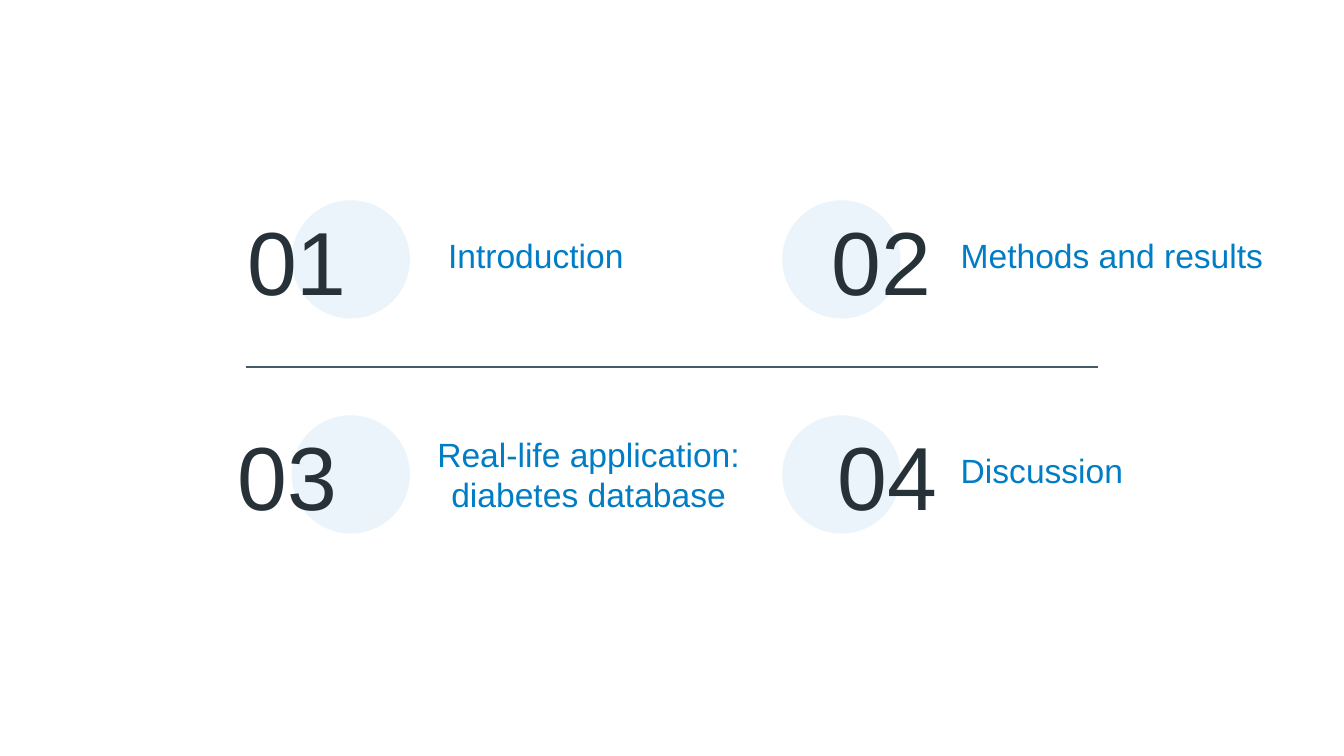
from dataclasses import dataclass

from lxml.etree import SubElement
from pptx import Presentation
from pptx.dml.color import RGBColor
from pptx.enum.shapes import MSO_CONNECTOR, MSO_SHAPE
from pptx.enum.text import MSO_ANCHOR, MSO_AUTO_SIZE, PP_ALIGN
from pptx.oxml.ns import qn
from pptx.util import Inches, Pt

LEFT, MID, RIGHT = PP_ALIGN.LEFT, PP_ALIGN.CENTER, PP_ALIGN.RIGHT


@dataclass(frozen=True)
class Theme:
    font: str = "Arial"
    ink: str = "263238"
    blue: str = "007DC5"
    pale: str = "B2D7ED"
    rule: str = "455A64"
    big: int = 48
    small: int = 18


THEME = Theme()
WIDE = 10
HIGH = WIDE * 9 / 16
COLS, ROWS = (2.17, 5.82), (1.93, 3.53)  # circle left edges, row centres
DISC = 0.88
NUM_W, NUM_H = 1.31, 0.82
RULE_Y, RULE_X = 2.73, 1.83

# number, its left and alignment; topic, its left, width, height and alignment
TOPICS = [
    ("01", 1.74, LEFT, "Introduction", 2.45, 2.29, 0.44, RIGHT),
    ("02", 5.72, RIGHT, "Methods and results", 7.05, 2.87, 0.44, LEFT),
    ("03", 1.67, LEFT, "Real-life application: diabetes database",
     2.93, 2.9, 0.8, MID),
    ("04", 5.76, RIGHT, "Discussion", 7.05, 2.29, 0.44, LEFT),
]


def write(box, text, align, anchor, size, color):
    frame = box.text_frame
    inset = Inches(0.1)
    style = {
        "word_wrap": True, "auto_size": MSO_AUTO_SIZE.NONE,
        "vertical_anchor": anchor, "margin_left": inset,
        "margin_right": inset, "margin_top": inset, "margin_bottom": inset,
    }
    for name, value in style.items():
        setattr(frame, name, value)
    para = frame.paragraphs[0]
    para.alignment = align
    run = para.add_run()
    run.text = text
    run.font.name, run.font.size = THEME.font, Pt(size)
    run.font.color.rgb = RGBColor.from_string(color)


def add_disc(slide, left, mid):
    disc = slide.shapes.add_shape(
        MSO_SHAPE.OVAL, Inches(left), Inches(mid - DISC / 2),
        Inches(DISC), Inches(DISC))
    disc.shadow.inherit = False
    disc.line.fill.background()
    disc.fill.solid()
    disc.fill.fore_color.rgb = RGBColor.from_string(THEME.pale)
    tint = next(disc._element.spPr.iter(qn("a:srgbClr")))
    SubElement(tint, qn("a:alpha"), val="26000")


def add_rule(slide):
    rule = slide.shapes.add_connector(
        MSO_CONNECTOR.STRAIGHT, Inches(RULE_X), Inches(RULE_Y),
        Inches(WIDE - RULE_X), Inches(RULE_Y))
    rule.line.width = Pt(0.75)
    rule.line.color.rgb = RGBColor.from_string(THEME.rule)
    SubElement(rule._element.spPr, qn("a:effectLst"))


def main():
    deck = Presentation()
    deck.slide_width, deck.slide_height = Inches(WIDE), Inches(HIGH)
    slide = deck.slides.add_slide(deck.slide_layouts[5])
    shapes = slide.shapes

    for i, topic in enumerate(TOPICS):
        num, num_x, num_al, text, left, width, height, align = topic
        row, col = divmod(i, len(COLS))
        mid = ROWS[row]
        add_disc(slide, COLS[col], mid)

        box = shapes.add_textbox(
            Inches(num_x), Inches(mid - NUM_H / 2),
            Inches(NUM_W), Inches(NUM_H))
        write(box, num, num_al, MSO_ANCHOR.MIDDLE, THEME.big, THEME.ink)

        area = [Inches(v) for v in (left, mid - height / 2, width, height)]
        if i == 0:
            label = shapes.title
            label.left, label.top, label.width, label.height = area
        else:
            label = shapes.add_textbox(*area)
        write(label, text, align, MSO_ANCHOR.BOTTOM, THEME.small, THEME.blue)

    add_rule(slide)
    deck.save("out.pptx")


if __name__ == "__main__":
    main()
